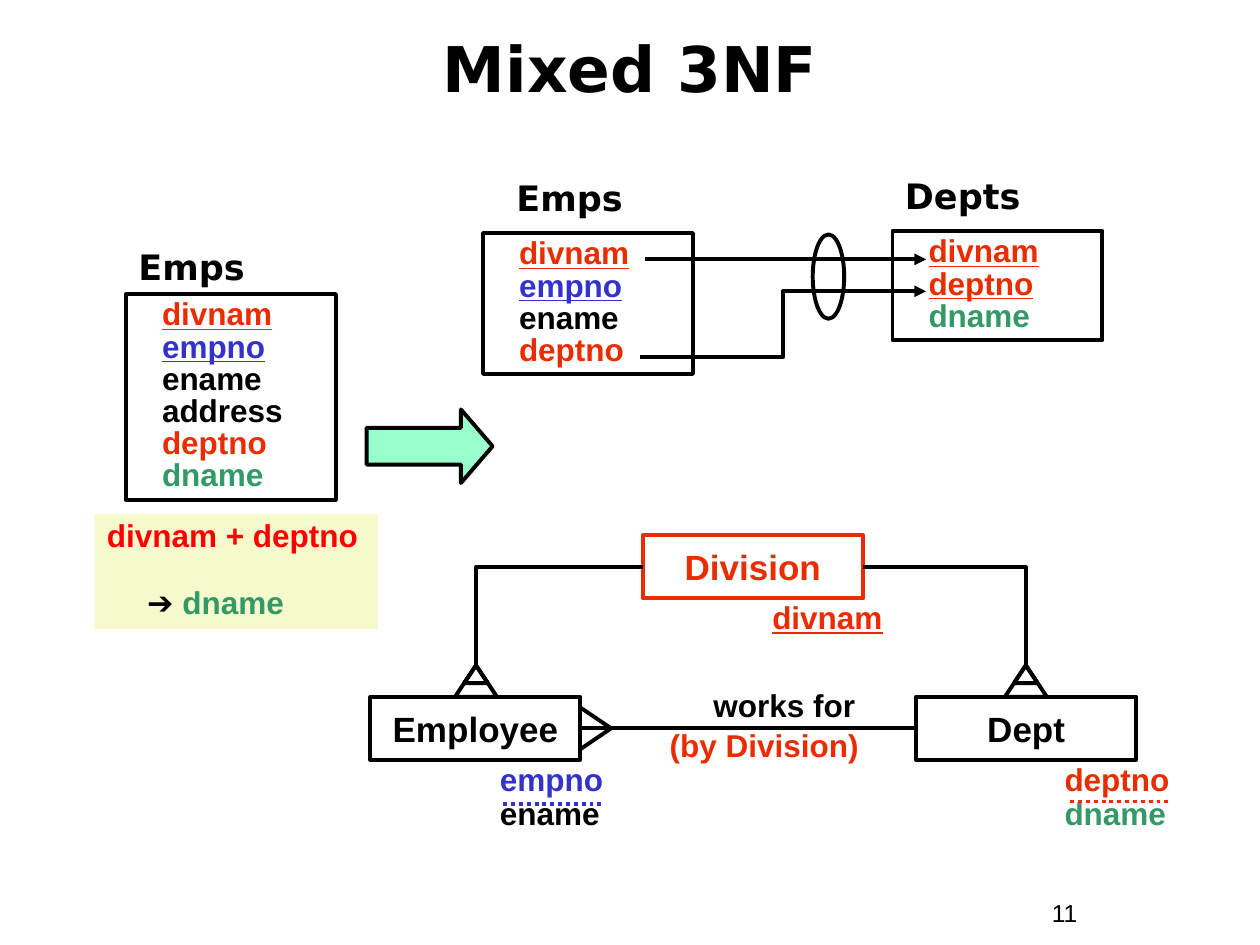
from dataclasses import dataclass

import lxml.etree
import pptx
import pptx.dml.color
import pptx.enum.dml
import pptx.enum.shapes
import pptx.enum.text
import pptx.oxml.ns
import pptx.util

Pt = pptx.util.Pt
RGB = pptx.dml.color.RGBColor
Kind = pptx.enum.shapes.MSO_SHAPE
Link = pptx.enum.shapes.MSO_CONNECTOR
Align = pptx.enum.text.PP_ALIGN
Anchor = pptx.enum.text.MSO_ANCHOR
qn = pptx.oxml.ns.qn


@dataclass(frozen=True)
class Theme:
    black: RGB = RGB(0, 0, 0)
    key: RGB = RGB(0xEA, 0x2D, 0x00)
    blue: RGB = RGB(0x33, 0x33, 0xCC)
    green: RGB = RGB(0x33, 0x99, 0x66)
    red: RGB = RGB(0xFF, 0, 0)
    mint: RGB = RGB(0x99, 0xFF, 0xCC)
    cream: RGB = RGB(0xF6, 0xF9, 0xCB)
    head: str = "DejaVu Sans"
    body: str = "Arial"
    title: int = 36
    label: int = 20
    text: int = 18
    page: int = 14
    stroke: float = 2.25


THEME = Theme()


@dataclass(frozen=True)
class Row:
    text: str
    color: RGB = THEME.black
    under: bool = False


@dataclass(frozen=True)
class Table:
    name: str
    label: tuple
    box: tuple
    rows: tuple


@dataclass(frozen=True)
class Note:
    box: tuple
    rows: tuple
    align: Align = Align.LEFT
    space: float = 0.9


DIV = Row("divnam", THEME.key, True)
EMP = Row("empno", THEME.blue, True)
NAME = Row("ename")
DEPT = Row("deptno", THEME.key)
DNAME = Row("dname", THEME.green)

TABLES = (
    Table("Emps", (72, 136.8, 96, 31.5), (72, 168, 120, 117.5),
          (DIV, EMP, NAME, Row("address"), DEPT, DNAME)),
    Table("Depts", (510, 96, 120, 31.5), (510, 132, 120, 62.5),
          (DIV, Row("deptno", THEME.key, True), DNAME)),
    Table("Emps", (288, 97.2, 108, 31.5), (276, 133.2, 120, 80.5),
          (DIV, EMP, NAME, DEPT)),
)

NOTES = (
    Note((355.7, 414.7, 162, 26), (Row("(by Division)", THEME.key),), Align.CENTER, 0.85),
    Note((367.2, 391.7, 162, 26), (Row("works for"),), Align.CENTER, 0.85),
    Note((278.6, 433.4, 95, 46), (Row("empno", THEME.blue), NAME)),
    Note((601.2, 433.4, 84, 46), (DEPT, DNAME)),
    Note((434.2, 340.6, 95, 26.5), (DIV,)),
)


def write(shape, rows, size=THEME.text, font=THEME.body, align=Align.LEFT,
          space=1.0, anchor=Anchor.TOP, bold=True) -> None:
    """One paragraph per row, each in its own colour."""
    frame = shape.text_frame
    frame.text = "\n".join(row.text for row in rows)
    frame.word_wrap = True
    frame.auto_size = pptx.enum.text.MSO_AUTO_SIZE.NONE
    frame.vertical_anchor = anchor
    for para, row in zip(frame.paragraphs, rows):
        para.alignment = align
        para.line_spacing = space
        for run in para.runs:
            run.font.name, run.font.size = font, Pt(size)
            run.font.bold, run.font.underline = bold, row.under
            run.font.color.rgb = row.color


def indent(shape, left: float) -> None:
    for para in shape.text_frame.paragraphs:
        para._p.get_or_add_pPr().set("marL", str(Pt(left)))


def add_text(slide, box, rows, **style):
    shape = slide.shapes.add_textbox(*map(Pt, box))
    write(shape, rows, **style)
    return shape


def add_box(slide, kind, box, line=THEME.black, fill=None):
    shape = slide.shapes.add_shape(kind, *map(Pt, box))
    shape.shadow.inherit = False
    if fill is None:
        shape.fill.background()
    else:
        shape.fill.solid()
        shape.fill.fore_color.rgb = fill
    if line is None:
        shape.line.fill.background()
    else:
        shape.line.color.rgb = line
        shape.line.width = Pt(THEME.stroke)
    return shape


def add_line(slide, start, end, color=THEME.black, kind=Link.STRAIGHT,
             arrow=False, dots=False, corner=False):
    line = slide.shapes.add_connector(kind, *map(Pt, start + end))
    line.line.color.rgb = color
    line.line.width = Pt(THEME.stroke)
    if dots:
        line.line.dash_style = pptx.enum.dml.MSO_LINE.ROUND_DOT
    props = line._element.spPr
    if arrow:
        lxml.etree.SubElement(props.find(qn("a:ln")), qn("a:tailEnd"), type="triangle")
    if corner:
        props.find(qn("a:prstGeom")).set("prst", "bentConnector2")
    lxml.etree.SubElement(props, qn("a:effectLst"))
    return line


def add_table(slide, table: Table) -> None:
    add_text(slide, table.label, (Row(table.name),), size=THEME.label, font=THEME.head)
    box = add_box(slide, Kind.RECTANGLE, table.box)
    write(box, table.rows, space=0.85)
    indent(box, 13.5)


def add_class(slide, name: str, box, color=THEME.black):
    shape = add_box(slide, Kind.RECTANGLE, box, color)
    write(shape, (Row(name, color),), size=THEME.label,
          align=Align.CENTER, anchor=Anchor.MIDDLE)
    return shape


def main() -> None:
    deck = pptx.Presentation()
    deck.slide_width, deck.slide_height = Pt(720), Pt(540)
    slide = deck.slides.add_slide(deck.slide_layouts[5])

    # Title and page number
    title = slide.shapes.title
    title.left, title.top, title.width, title.height = map(Pt, (24, 12, 672, 60))
    write(title, (Row("Mixed 3NF"),), size=THEME.title, font=THEME.head,
          align=Align.CENTER, space=0.85, anchor=Anchor.MIDDLE)
    add_text(slide, (594, 509.8, 66, 24.5), (Row("11"),), size=THEME.page, bold=False)

    # Tables before and after the split
    for table in TABLES:
        add_table(slide, table)
    arrow = add_box(slide, Kind.RIGHT_ARROW, (209.5, 234, 72, 42), fill=THEME.mint)
    arrow.adjustments[1] = 0.43

    # Dependency behind the split
    rule = add_box(slide, Kind.RECTANGLE, (54, 293.8, 162, 65.5), None, THEME.cream)
    write(rule, (Row("divnam + deptno", THEME.red), Row("➔ dname", THEME.green)), space=0.9)
    last = rule.text_frame.paragraphs[1]
    last.space_before = Pt(19)
    last._p.get_or_add_pPr().set("marL", str(Pt(23)))
    last.text = "➔ "
    last.add_run().text = "dname"
    for run, color in zip(last.runs, (THEME.black, THEME.green)):
        run.font.name, run.font.size, run.font.bold = THEME.body, Pt(THEME.text), True
        run.font.color.rgb = color

    # Two-part foreign key
    add_line(slide, (368.8, 148.2), (529.2, 148.2), arrow=True)
    add_line(slide, (365.8, 204.2), (529.2, 166.5), kind=Link.ELBOW, arrow=True)
    add_box(slide, Kind.OVAL, (464.4, 134, 18, 48.2))

    # Entities and their notes
    for note in NOTES:
        add_text(slide, note.box, note.rows, align=note.align, space=note.space)
    add_class(slide, "Division", (367.2, 306, 126, 36), THEME.key)
    dept = add_class(slide, "Dept", (523.4, 398.2, 126, 36))
    staff = add_class(slide, "Employee", (211.7, 398.2, 120, 36))

    # Links with crow's feet
    works = add_line(slide, (523.4, 416.2), (331.7, 416.2))
    works.begin_connect(dept, 1)
    works.end_connect(staff, 3)
    for y in (404, 428.4):
        add_line(slide, (349.2, 416.2), (331.2, y))
    for side, x in ((367.2, 272), (493.2, 586.2)):
        add_line(slide, (side, 324), (x, 380.2), kind=Link.ELBOW, corner=True)
        for width, height in ((24, 18), (13.6, 10.2)):
            add_box(slide, Kind.ISOSCELES_TRIANGLE, (x - width / 2, 380.2, width, height))

    # Dotted underlines of partial keys
    for x, y, color in ((286.6, 459.2, THEME.blue), (610.6, 458, THEME.key)):
        add_line(slide, (x + 57, y), (x, y), color, dots=True)

    deck.save("out.pptx")


if __name__ == "__main__":
    main()
